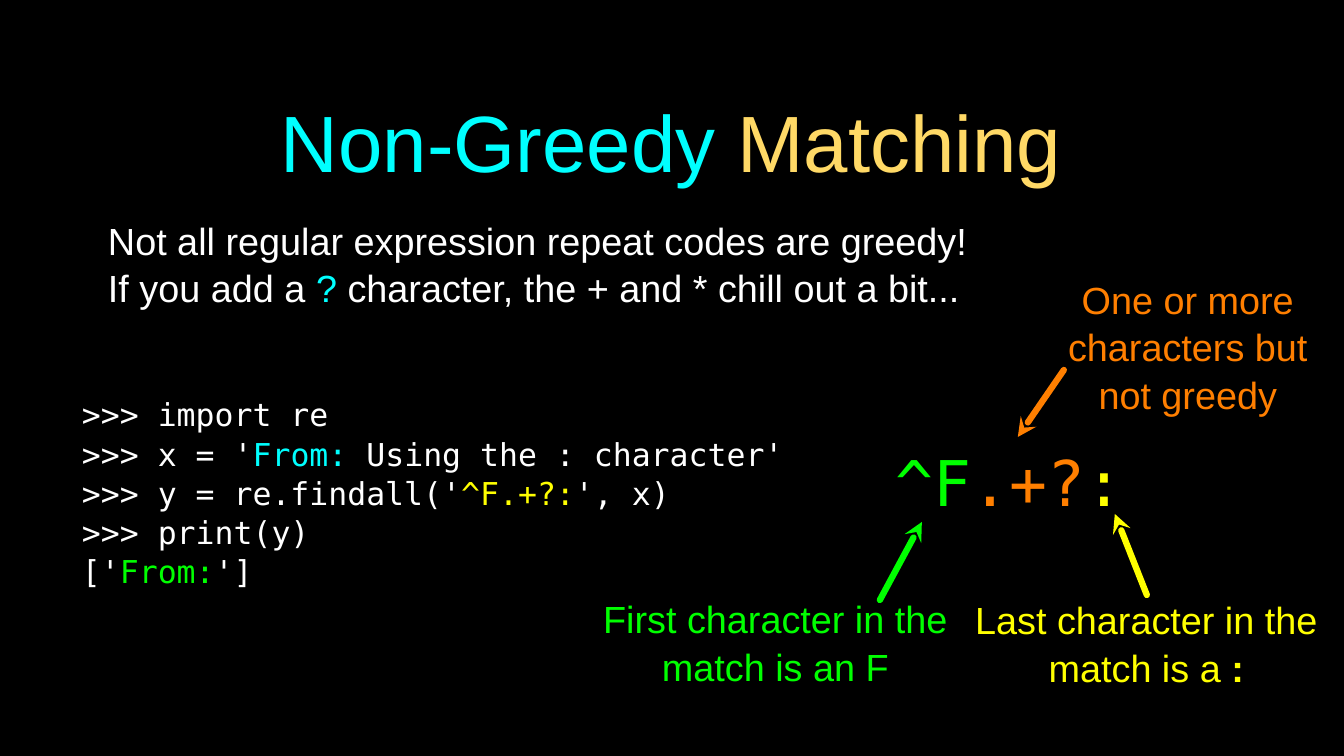
from lxml import etree
from pptx import Presentation
from pptx import util as u
from pptx.dml.color import RGBColor
from pptx.enum import shapes, text
from pptx.oxml import ns

PX = 12095
BLACK = RGBColor(0, 0, 0)
WHITE = RGBColor(255, 255, 255)
CYAN = RGBColor(0, 255, 255)
GOLD = RGBColor(255, 217, 102)
GREEN = RGBColor(0, 255, 0)
ORANGE = RGBColor(255, 127, 0)
YELLOW = RGBColor(255, 255, 0)
SANS = "Arial"
MONO = "DejaVu Sans Mono"


def px(*nums):
    return [u.Emu(n * PX) for n in nums]


def place(shape, box):
    shape.left, shape.top, shape.width, shape.height = px(*box)


def write(shape, lines, size=36, font=SANS, color=WHITE,
          align=text.PP_ALIGN.LEFT, anchor=text.MSO_ANCHOR.MIDDLE, inset=0):
    frame = shape.text_frame
    frame.word_wrap = True
    frame.auto_size = text.MSO_AUTO_SIZE.NONE
    frame.vertical_anchor = anchor
    frame.margin_left = frame.margin_right = u.Emu(inset * PX)
    frame.margin_top = frame.margin_bottom = u.Emu(inset * PX)
    for i, line in enumerate(lines):
        para = frame.add_paragraph() if i else frame.paragraphs[0]
        para.alignment = align
        para.space_before = u.Pt(0)
        para.line_spacing = 1.04
        for part in line:
            words, tint, bold = (*part, False)[:3] if isinstance(part, tuple) else (part, color, False)
            run = para.add_run()
            run.text = words
            run.font.name = font
            run.font.size = u.Pt(size)
            run.font.bold = bold
            run.font.color.rgb = tint


def label(slide, box, lines, **form):
    shape = slide.shapes.add_textbox(*px(*box))
    write(shape, lines, **form)


def arrow(slide, tip, tail, color):
    line = slide.shapes.add_connector(shapes.MSO_CONNECTOR.STRAIGHT, *px(*tip, *tail))
    line.line.color.rgb = color
    line.line.width = u.Pt(6)
    props = line._element.spPr
    stroke = props.find(ns.qn("a:ln"))
    stroke.set("cap", "rnd")
    etree.SubElement(stroke, ns.qn("a:headEnd"), type="stealth")
    etree.SubElement(props, ns.qn("a:effectLst"))


def plain(shape, indent):
    for para in shape.text_frame.paragraphs:
        props = para._p.get_or_add_pPr()
        props.set("marL", str(indent * PX))
        props.set("indent", "0")
        etree.SubElement(props, ns.qn("a:buNone"))


def main():
    deck = Presentation()
    deck.slide_width, deck.slide_height = u.Inches(17.78), u.Inches(10)
    slide = deck.slides.add_slide(deck.slide_layouts[1])
    slide.background.fill.solid()
    slide.background.fill.fore_color.rgb = BLACK
    mid = text.PP_ALIGN.CENTER

    title = slide.shapes.title
    place(title, (95, 67, 1152, 143))
    write(title, [[("Non-Greedy", CYAN), (" Matching", GOLD)]], size=76, align=mid, inset=3)

    body = slide.placeholders[1]
    place(body, (74, 213, 923, 126))
    write(body, [["Not all regular expression repeat codes are greedy!  If you add a ",
                  ("?", CYAN), " character, the + and * chill out a bit..."]],
          anchor=text.MSO_ANCHOR.TOP, inset=3)
    plain(body, 31)

    label(slide, (82, 380, 829, 224), [
        [">>> import re"],
        [">>> x = '", ("From: ", CYAN), "Using the : character'"],
        [">>> y = re.findall('", ("^F.+?:", YELLOW), "', x)"],
        [">>> print(y)"],
        ["['", ("From:", GREEN), "']"],
    ], size=30, font=MONO)
    label(slide, (896, 437, 245, 85), [[("^F", GREEN), (".+?", ORANGE), (":", YELLOW)]],
          size=60, font=MONO)

    label(slide, (1054, 277, 268, 138), [["One or more characters but not greedy"]],
          color=ORANGE, align=mid)
    arrow(slide, (1018, 437), (1064, 370), ORANGE)
    label(slide, (603, 594, 345, 95), [["First character in the match is an F"]],
          color=GREEN, align=mid)
    arrow(slide, (922, 522), (880, 600), GREEN)
    label(slide, (974, 595, 345, 95),
          [["Last character in the match is a ", (":", YELLOW, True)]],
          color=YELLOW, align=mid)
    arrow(slide, (1115, 514), (1147, 595), YELLOW)

    deck.save("out.pptx")


if __name__ == "__main__":
    main()
